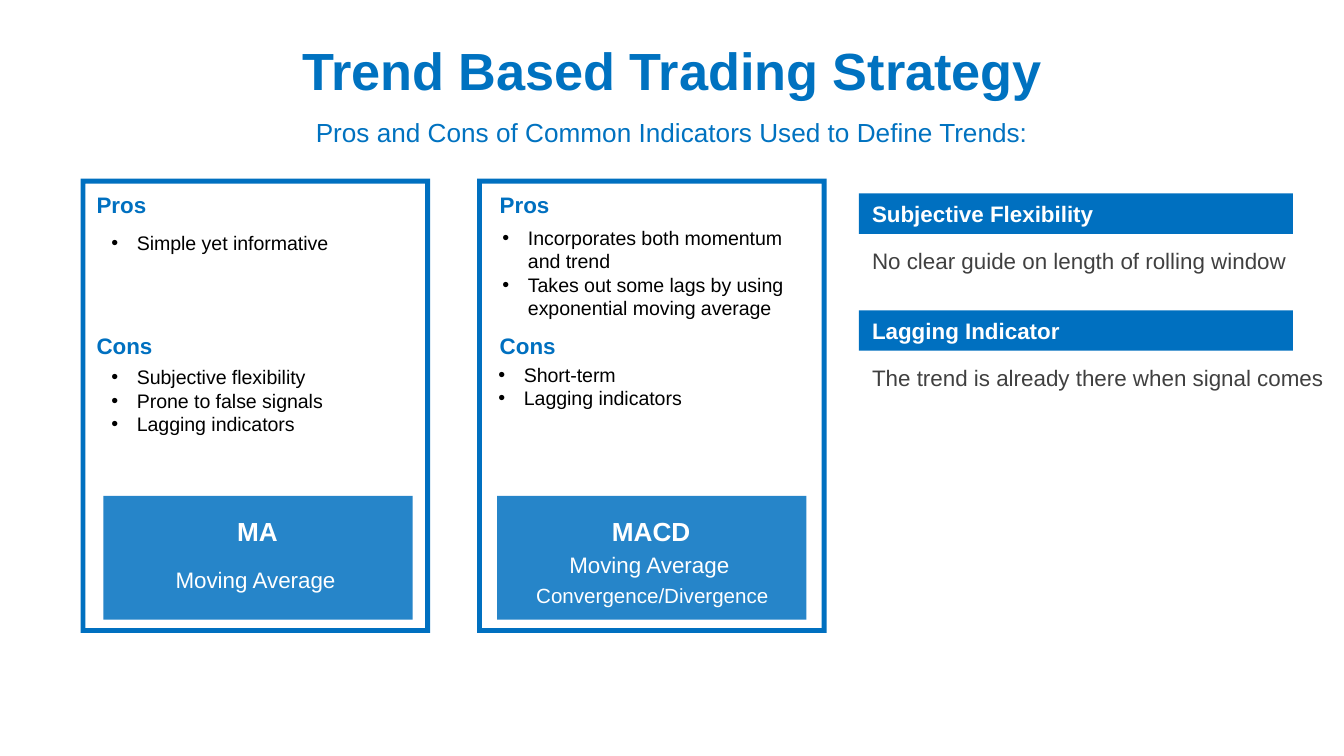
"""Builds a slide on the pros and cons of two trend indicators."""
from lxml.etree import SubElement
from pptx import Presentation
from pptx.dml.color import RGBColor
from pptx.enum.shapes import MSO_SHAPE
from pptx.enum.text import MSO_ANCHOR, MSO_AUTO_SIZE, PP_ALIGN
from pptx.oxml.ns import qn
from pptx.util import Inches, Pt

BLUE, WHITE, BLACK, GREY = "0070C0", "FFFFFF", "000000", "404040"
TITLE_BLUE = "0072C0"
WIDTH = 10
HEIGHT = WIDTH * 9 / 16
PANEL_TOP, PANEL_WIDTH, PANEL_HEIGHT = 1.33, 2.6, 3.38
PANEL_LEFT, PANEL_STEP = 0.6, 2.95
CARD_TOP, CARD_WIDTH, CARD_HEIGHT = 3.69, 2.3, 0.92
NOTE_LEFT, NOTE_TOP, NOTE_STEP, ROW = 6.39, 1.44, 0.87, 0.3


def write(box, lines, color, bold=False, centered=False, bulleted=False, wrap=True):
    """Fill a box with (text, size) lines in one style."""
    frame = box.text_frame
    frame.word_wrap = wrap
    frame.auto_size = MSO_AUTO_SIZE.NONE
    frame.vertical_anchor = MSO_ANCHOR.MIDDLE if centered else MSO_ANCHOR.TOP
    for index, (text, size) in enumerate(lines):
        paragraph = frame.add_paragraph() if index else frame.paragraphs[0]
        paragraph.alignment = PP_ALIGN.CENTER if centered else PP_ALIGN.LEFT
        paragraph.space_before = Pt(2.5 if centered and index else 0)
        if bulleted:
            properties = paragraph._p.get_or_add_pPr()
            properties.set("marL", str(Inches(0.19)))
            properties.set("indent", str(-Inches(0.19)))
            SubElement(properties, qn("a:buFont"), typeface="Arial")
            SubElement(properties, qn("a:buChar"), char="•")
        run = paragraph.add_run()
        run.text = text
        run.font.name = "Arial"
        run.font.size = Pt(size)
        run.font.bold = bold
        run.font.color.rgb = RGBColor.from_string(color)


def add_box(left, top, width, height, kind=None, fill=BLUE):
    """Add a text box, or a filled shape without outline when a kind is given."""
    area = [Inches(length) for length in (left, top, width, height)]
    if kind is None:
        return slide.shapes.add_textbox(*area)
    shape = slide.shapes.add_shape(kind, *area)
    shape.shadow.inherit = False
    shape.fill.solid()
    shape.fill.fore_color.rgb = RGBColor.from_string(fill)
    shape.line.fill.background()
    return shape


presentation = Presentation()
presentation.slide_width, presentation.slide_height = Inches(WIDTH), Inches(HEIGHT)
slide = presentation.slides.add_slide(presentation.slide_layouts[5])

title = slide.shapes.title
title.left, title.top = Inches(0), Inches(0.2)
title.width, title.height = Inches(WIDTH), Inches(0.63)
write(title, [("Trend Based Trading Strategy", 28)], TITLE_BLUE, bold=True, centered=True)
subtitle = add_box(0, 0.83, WIDTH, 0.31)
write(subtitle, [("Pros and Cons of Common Indicators Used to Define Trends:", 14)],
      TITLE_BLUE, centered=True)

indicators = [
    {"name": "MA", "meaning": [("Moving Average ", 12)],
     "card": 0.17, "heading": 0.02,
     "lists": [(0.13, 1.67, 2.3, ["Simple yet informative"]),
               (0.13, 2.67, 2.3, ["Subjective flexibility", "Prone to false signals",
                                  "Lagging indicators"])]},
    {"name": "MACD", "meaning": [("Moving Average ", 12), ("Convergence/Divergence", 11)],
     "card": 0.15, "heading": 0.07,
     "lists": [(0.09, 1.63, 2.36, ["Incorporates both momentum and trend",
                                   "Takes out some lags by using exponential moving average"]),
               (0.06, 2.65, 2.3, ["Short-term", "Lagging indicators"])]},
]
for column, indicator in enumerate(indicators):
    left = PANEL_LEFT + column * PANEL_STEP
    panel = add_box(left, PANEL_TOP, PANEL_WIDTH, PANEL_HEIGHT, MSO_SHAPE.FRAME)
    panel.adjustments[0] = 0.014

    card_left = left + indicator["card"]
    card = add_box(card_left, CARD_TOP, CARD_WIDTH, CARD_HEIGHT, MSO_SHAPE.RECTANGLE)
    color_element = card.fill._xPr.find(qn("a:solidFill"))[0]
    SubElement(color_element, qn("a:alpha"), val="85000")
    name = add_box(card_left + 0.12, 3.82, 2.05, 0.27)
    write(name, [(indicator["name"], 14)], WHITE, bold=True, centered=True)
    meaning = add_box(card_left + 0.13, 4.09, 2.05, 0.44)
    write(meaning, indicator["meaning"], WHITE, centered=True)

    for heading, top, width in (("Pros", 1.37, 0.6), ("Cons", 2.42, 0.67)):
        heading_box = add_box(left + indicator["heading"], top, width, ROW)
        write(heading_box, [(heading, 12)], BLUE, bold=True, wrap=False)
    for offset, top, width, points in indicator["lists"]:
        height = 0.98 if width > CARD_WIDTH else max(0.45, 0.1 + 0.18 * len(points))
        point_box = add_box(left + offset, top, width, height)
        write(point_box, [(point, 10.5) for point in points], BLACK, bulleted=True)

notes = [
    ("Subjective Flexibility", "No clear guide on length of rolling window"),
    ("Lagging Indicator", "The trend is already there when signal comes"),
]
for row, (heading, explanation) in enumerate(notes):
    top = NOTE_TOP + row * NOTE_STEP
    banner = add_box(NOTE_LEFT, top, 3.23, ROW, MSO_SHAPE.RECTANGLE)
    write(banner, [(heading, 12)], WHITE, bold=True)
    explanation_box = add_box(NOTE_LEFT, top + 0.35, WIDTH - NOTE_LEFT, ROW)
    write(explanation_box, [(explanation, 12)], GREY, wrap=False)

presentation.save("out.pptx")
